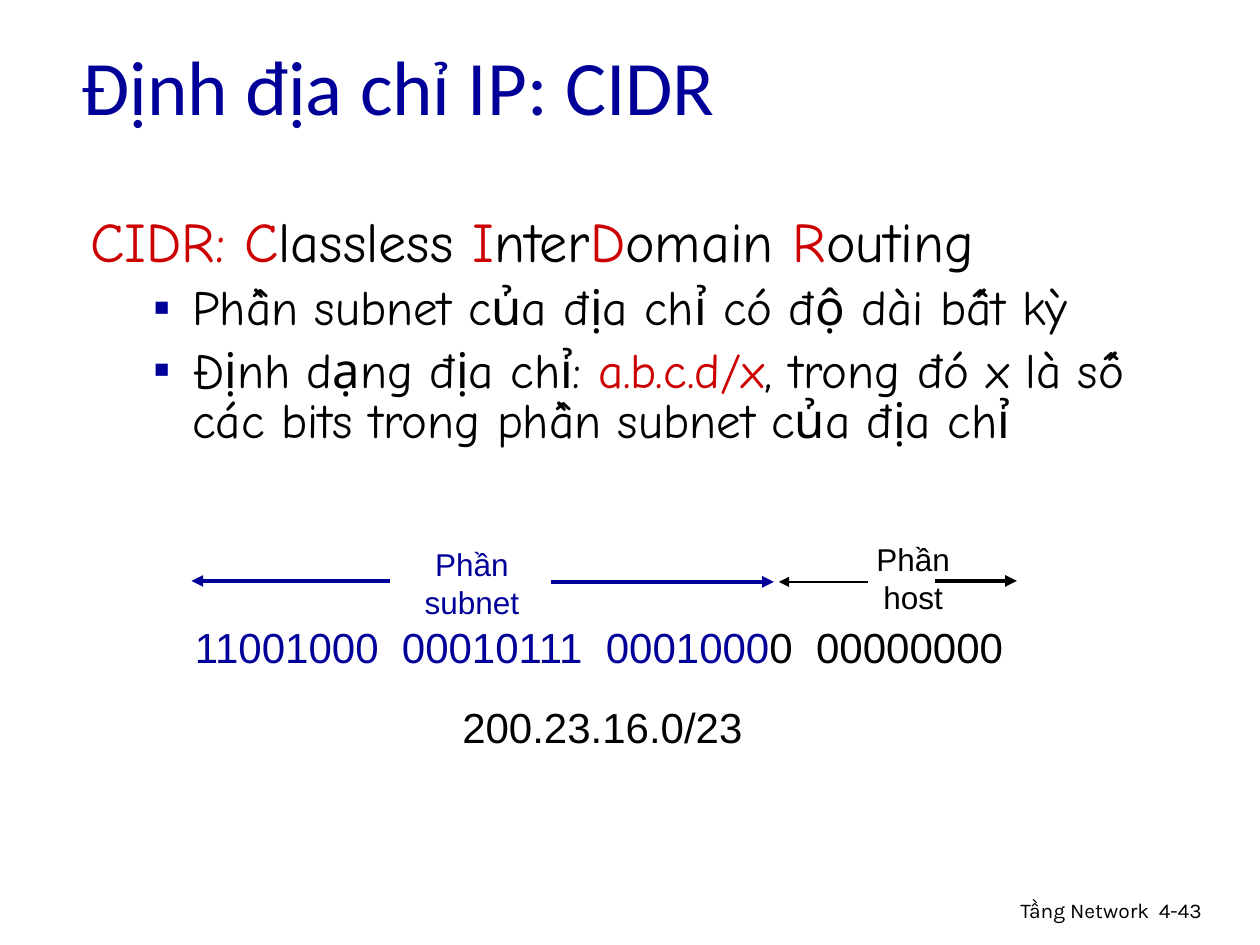
"""Build the slide on CIDR addressing of IP subnets."""
from dataclasses import dataclass

from lxml.etree import SubElement
from pptx import Presentation
from pptx.dml.color import RGBColor
from pptx.enum.shapes import MSO_CONNECTOR
from pptx.enum.text import MSO_ANCHOR, MSO_AUTO_SIZE, PP_ALIGN
from pptx.oxml.ns import qn
from pptx.slide import Slide
from pptx.util import Cm, Pt

NAVY = RGBColor(0x00, 0x00, 0x99)
RED = RGBColor(0xCC, 0x00, 0x00)
BLACK = RGBColor(0x00, 0x00, 0x00)


@dataclass
class Run:
    text: str
    color: RGBColor = BLACK


@dataclass
class Para:
    runs: list[Run]
    size: float
    margin: float = 0
    hanging: float = 0
    before: float = 0
    spacing: float = 1.0
    bullet: str = ""


@dataclass
class Box:
    left: float
    top: float
    width: float
    height: float
    font: str
    paras: list[Para]
    align: PP_ALIGN = PP_ALIGN.LEFT
    anchor: MSO_ANCHOR = MSO_ANCHOR.TOP
    wrap: bool = True


@dataclass
class Arrow:
    start: float
    end: float
    y: float
    color: RGBColor
    weight: float = 2.25


def bullet_item(*runs: Run) -> Para:
    return Para(list(runs), 28, 2.06, 0.79, 7, 0.85, "▪")


def label(left: float, top: float, width: float, words: list[str], color: RGBColor) -> Box:
    paras = [Para([Run(word, color)], 18) for word in words]
    return Box(left, top, width, 1.78, "Arial", paras, PP_ALIGN.CENTER, wrap=False)


BOXES = [
    Box(15.37, 17.96, 8.05, 0.79, "Karla", [Para([Run("Tầng Network")], 12)], PP_ALIGN.RIGHT),
    Box(23.11, 17.96, 1.88, 0.76, "Karla", [Para([Run("4-43")], 12)]),
    Box(1.4, 0.53, 21.59, 2.36, "Calibri", [Para([Run("Định địa chỉ IP: CIDR", NAVY)], 44)],
        anchor=MSO_ANCHOR.MIDDLE),
    Box(1.57, 4.24, 22.53, 8.81, "Comic Neue", [
        Para([Run("CIDR: C", RED), Run("lassless "), Run("I", RED), Run("nter"),
              Run("D", RED), Run("omain "), Run("R", RED), Run("outing")],
             32, 0.97, 0.97, spacing=0.85),
        bullet_item(Run("Phần subnet của địa chỉ có độ dài bất kỳ")),
        bullet_item(Run("Định dạng địa chỉ: "), Run("a.b.c.d/x", RED),
                    Run(", trong đó x là số các bits trong phần subnet của địa chỉ")),
    ]),
    Box(3.68, 12.4, 16.99, 1.27, "Arial",
        [Para([Run("11001000  00010111  0001000", NAVY), Run("0  00000000")], 24)], wrap=False),
    label(8.31, 10.87, 2.41, ["Phần", "subnet"], NAVY),
    label(17.36, 10.77, 2.1, ["Phần", "host"], BLACK),
    Box(9.07, 14.02, 6.15, 1.27, "Arial", [Para([Run("200.23.16.0/23")], 24)], wrap=False),
]

ARROWS = [
    Arrow(11.1, 15.6, 11.73, NAVY),
    Arrow(18.85, 20.5, 11.71, BLACK),
    Arrow(7.87, 3.86, 11.71, NAVY),
    Arrow(17.5, 15.7, 11.73, BLACK, 1.5),
]


def draw_box(s: Slide, box: Box) -> None:
    sp = s.shapes.add_textbox(Cm(box.left), Cm(box.top), Cm(box.width), Cm(box.height))
    tf = sp.text_frame
    tf.word_wrap = box.wrap
    tf.auto_size = MSO_AUTO_SIZE.NONE if box.wrap else MSO_AUTO_SIZE.SHAPE_TO_FIT_TEXT
    tf.vertical_anchor = box.anchor
    for i, para in enumerate(box.paras):
        p = tf.add_paragraph() if i else tf.paragraphs[0]
        p.alignment = box.align
        p.line_spacing = para.spacing
        p.space_before = Pt(para.before)
        pPr = p._p.get_or_add_pPr()
        pPr.set("marL", str(Cm(para.margin)))
        pPr.set("indent", str(-Cm(para.hanging)))
        if para.bullet:
            color = SubElement(pPr, qn("a:buClr"))
            SubElement(color, qn("a:srgbClr"), val=str(NAVY))
            SubElement(pPr, qn("a:buFont"), typeface="Arial")
            SubElement(pPr, qn("a:buChar"), char=para.bullet)
        for run in para.runs:
            r = p.add_run()
            r.text = run.text
            r.font.name = box.font
            r.font.size = Pt(para.size)
            r.font.color.rgb = run.color


def draw_arrow(s: Slide, arrow: Arrow) -> None:
    y = Cm(arrow.y)
    cxn = s.shapes.add_connector(MSO_CONNECTOR.STRAIGHT, Cm(arrow.start), y, Cm(arrow.end), y)
    cxn.line.color.rgb = arrow.color
    cxn.line.width = Pt(arrow.weight)
    SubElement(cxn.line._get_or_add_ln(), qn("a:tailEnd"), type="triangle")
    SubElement(cxn._element.spPr, qn("a:effectLst"))


def main() -> None:
    prs = Presentation()
    prs.slide_width, prs.slide_height = Cm(25.4), Cm(19.05)
    s = prs.slides.add_slide(prs.slide_layouts[6])
    for box in BOXES:
        draw_box(s, box)
    for arrow in ARROWS:
        draw_arrow(s, arrow)
    prs.save("out.pptx")


if __name__ == "__main__":
    main()
